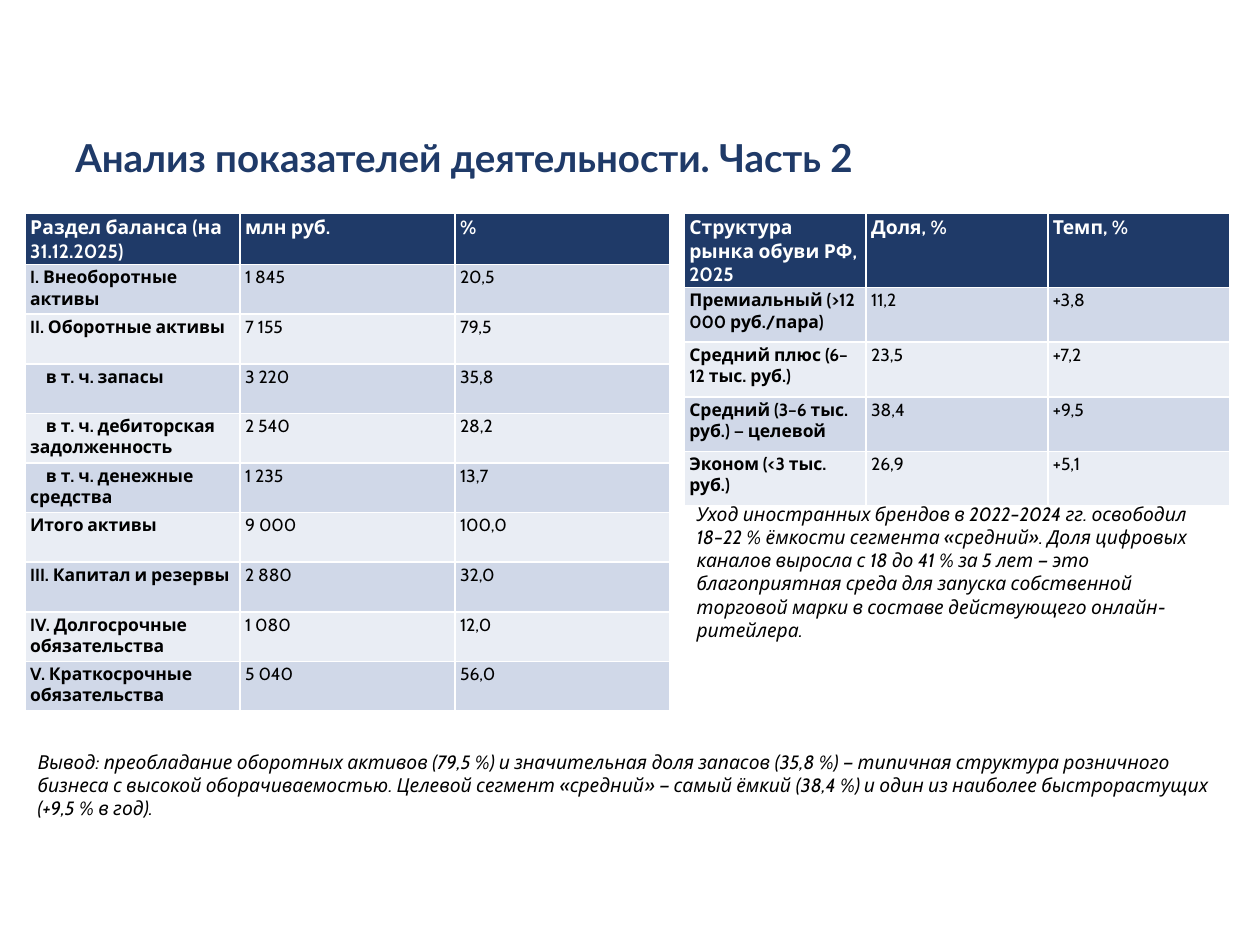
import pptx
import pptx.util
import pptx.dml.color
import pptx.enum.text

Pt = pptx.util.Pt
COLORS = {
    "navy": "1F3A68",
    "white": "FFFFFF",
    "black": "000000",
    "band_dark": "D0D8E8",
    "band_light": "E9EDF4",
}


def write_text(text_frame, text, size=11, font="Cabin", color="black", bold=False, italic=False, indent=0):
    paragraph = text_frame.paragraphs[0]
    if indent:
        properties = paragraph._p.get_or_add_pPr()
        properties.set("marL", "0")
        properties.set("indent", str(Pt(indent)))
    run = paragraph.add_run()
    run.text = text
    run.font.size = Pt(size)
    run.font.name = font
    run.font.bold = bold
    run.font.italic = italic
    run.font.color.rgb = pptx.dml.color.RGBColor.from_string(COLORS[color])


presentation = pptx.Presentation()
presentation.slide_width = Pt(720)
presentation.slide_height = Pt(540)
slide = presentation.slides.add_slide(presentation.slide_layouts[6])

title = slide.shapes.add_textbox(Pt(36), Pt(61.2), Pt(648), Pt(57.6))
title.text_frame.word_wrap = True
title.text_frame.vertical_anchor = pptx.enum.text.MSO_ANCHOR.MIDDLE
write_text(title.text_frame, "Анализ показателей деятельности. Часть 2",
           size=22, font="Lato", color="navy", bold=True)

balance_rows = [
    ("Раздел баланса (на 31.12.2025)", "млн руб.", "%"),
    ("I. Внеоборотные активы", "1 845", "20,5"),
    ("II. Оборотные активы", "7 155", "79,5"),
    ("в т. ч. запасы", "3 220", "35,8"),
    ("в т. ч. дебиторская задолженность", "2 540", "28,2"),
    ("в т. ч. денежные средства", "1 235", "13,7"),
    ("Итого активы", "9 000", "100,0"),
    ("III. Капитал и резервы", "2 880", "32,0"),
    ("IV. Долгосрочные обязательства", "1 080", "12,0"),
    ("V. Краткосрочные обязательства", "5 040", "56,0"),
]
market_rows = [
    ("Структура рынка обуви РФ, 2025", "Доля, %", "Темп, %"),
    ("Премиальный (>12 000 руб./пара)", "11,2", "+3,8"),
    ("Средний плюс (6–12 тыс. руб.)", "23,5", "+7,2"),
    ("Средний (3–6 тыс. руб.) — целевой", "38,4", "+9,5"),
    ("Эконом (<3 тыс. руб.)", "26,9", "+5,1"),
]

for rows, left, width, height in [
    (balance_rows, 14.4, 368.5, 283.5),
    (market_rows, 391, 311.8, 156),
]:
    table = slide.shapes.add_table(len(rows), 3, Pt(left), Pt(121.9), Pt(width), Pt(height)).table
    for row_index, values in enumerate(rows):
        header = row_index == 0
        fill = "navy" if header else ("band_dark" if row_index % 2 else "band_light")
        for column_index, value in enumerate(values):
            cell = table.cell(row_index, column_index)
            cell.margin_left = cell.margin_right = Pt(2.88)
            cell.margin_top = cell.margin_bottom = Pt(1.44)
            cell.fill.solid()
            cell.fill.fore_color.rgb = pptx.dml.color.RGBColor.from_string(COLORS[fill])
            write_text(
                cell.text_frame, value,
                size=11 if header else 10,
                color="white" if header else "black",
                bold=header or column_index == 0,
                indent=9 if value.startswith("в т. ч.") else 0,
            )

for text, left, top, width, height in [
    ("Уход иностранных брендов в 2022–2024 гг. освободил 18–22 % ёмкости сегмента «средний». "
     "Доля цифровых каналов выросла с 18 до 41 % за 5 лет — это благоприятная среда для запуска "
     "собственной торговой марки в составе действующего онлайн-ритейлера.",
     391, 283.5, 311.8, 127.6),
    ("Вывод: преобладание оборотных активов (79,5 %) и значительная доля запасов (35,8 %) — "
     "типичная структура розничного бизнеса с высокой оборачиваемостью. Целевой сегмент «средний» — "
     "самый ёмкий (38,4 %) и один из наиболее быстрорастущих (+9,5 % в год).",
     14.4, 425.2, 686, 70.9),
]:
    note = slide.shapes.add_textbox(Pt(left), Pt(top), Pt(width), Pt(height))
    note.text_frame.word_wrap = True
    write_text(note.text_frame, text, italic=True)

presentation.save("out.pptx")
